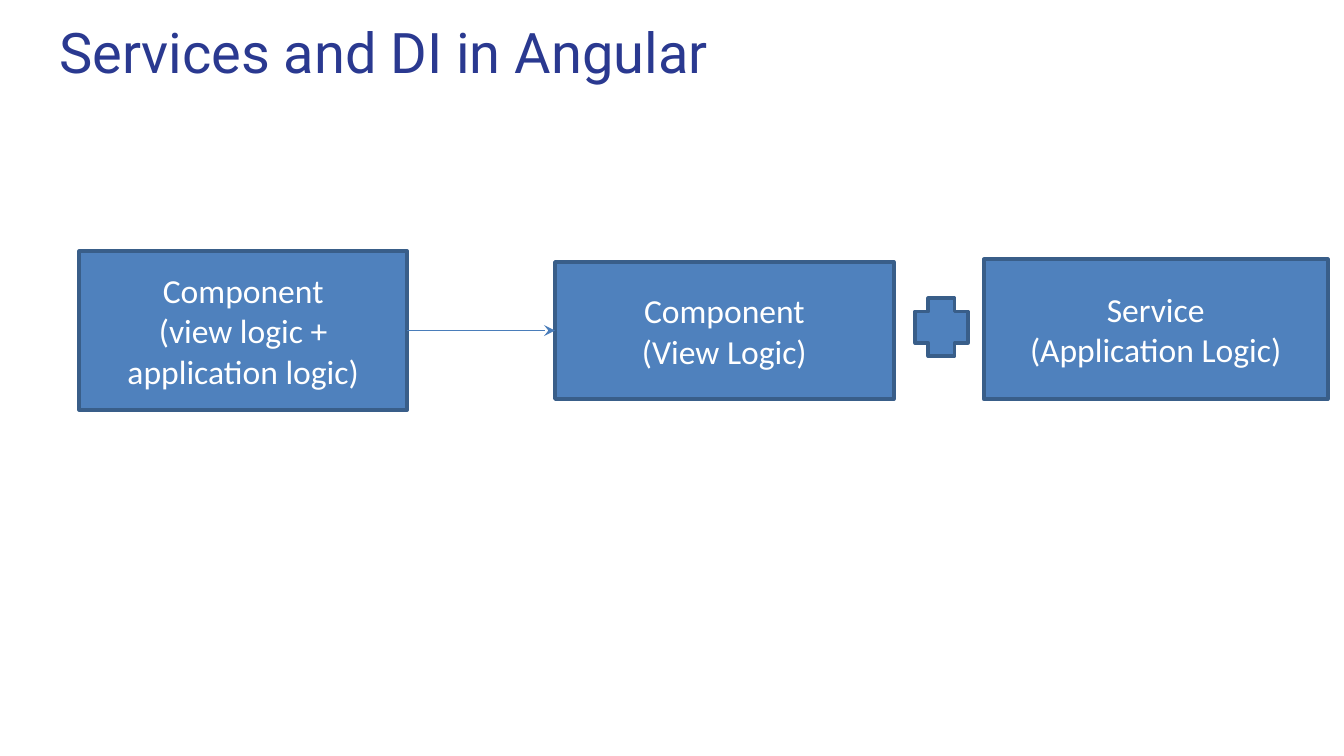
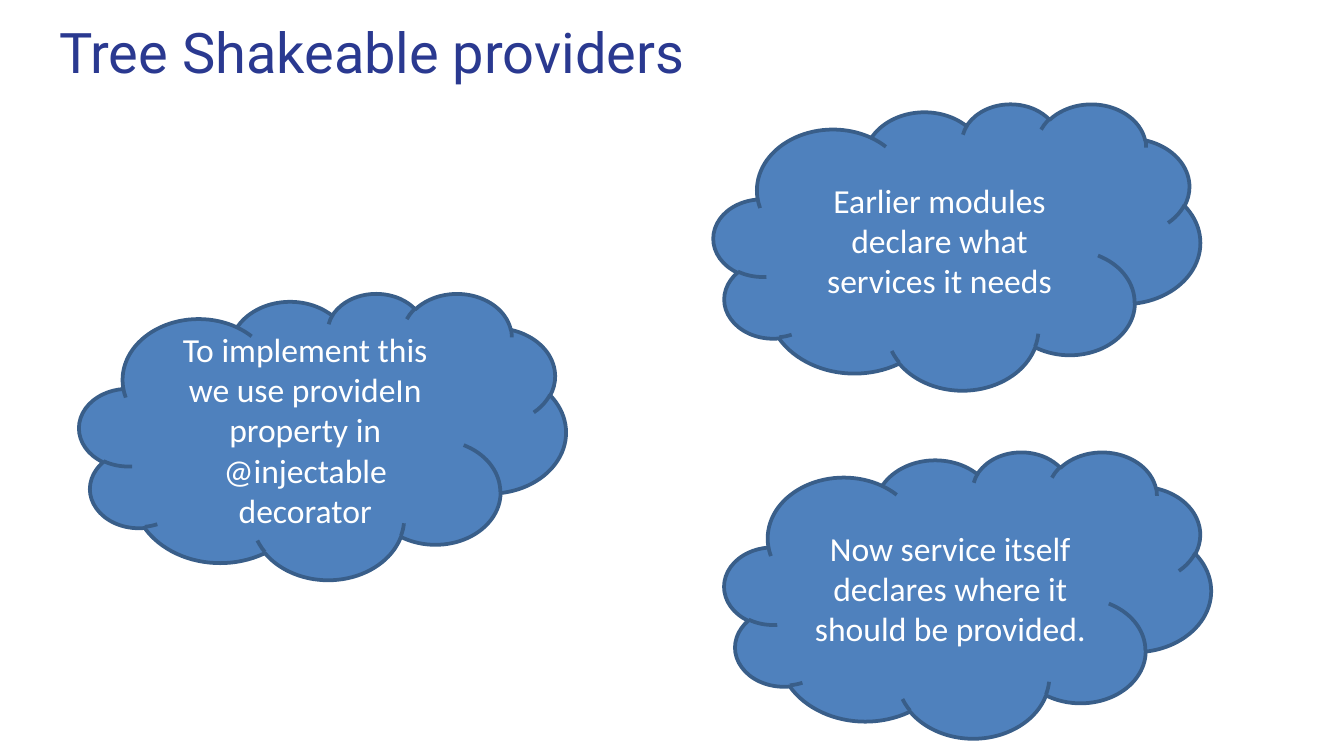
from dataclasses import dataclass

from lxml.etree import SubElement
from pptx import Presentation
from pptx.dml.color import RGBColor
from pptx.enum.shapes import MSO_CONNECTOR, MSO_SHAPE
from pptx.enum.text import MSO_ANCHOR, PP_ALIGN
from pptx.oxml.ns import qn
from pptx.shapes.autoshape import Shape
from pptx.slide import Slide
from pptx.util import Inches, Pt

SLIDE_WIDTH, SLIDE_HEIGHT = Inches(10), Inches(5.625)
TITLE_ONLY = 5
RIGHT_SIDE, LEFT_SIDE = 3, 1


def colour(value: str) -> RGBColor:
    return RGBColor.from_string(value)


FILL, OUTLINE, ARROW = colour("4F81BD"), colour("395E89"), colour("4A7DBA")
TITLE_FONT = {"name": "Roboto", "size": Pt(30), "bold": False}
LABEL_FONT = {"name": "Calibri", "size": Pt(18)}
TITLE_COLOUR, LABEL_COLOUR = colour("2A3990"), colour("FFFFFF")
TITLE_FRAME = {
    "margin_left": Inches(0.1), "margin_right": Inches(0.1),
    "margin_top": Inches(0.1), "margin_bottom": Inches(0.1),
    "vertical_anchor": MSO_ANCHOR.TOP, "word_wrap": True,
}
LABEL_FRAME = TITLE_FRAME | {
    "margin_top": Inches(0.05), "margin_bottom": Inches(0.05),
    "vertical_anchor": MSO_ANCHOR.MIDDLE,
}


@dataclass(frozen=True)
class Area:
    """Left edge, vertical middle, width and height in percent of the slide."""
    left: float
    middle: float
    width: float
    height: float

    def place(self) -> dict[str, int]:
        return {
            "left": round(SLIDE_WIDTH * self.left / 100),
            "top": round(SLIDE_HEIGHT * (self.middle - self.height / 2) / 100),
            "width": round(SLIDE_WIDTH * self.width / 100),
            "height": round(SLIDE_HEIGHT * self.height / 100),
        }


@dataclass(frozen=True)
class Block:
    kind: MSO_SHAPE
    area: Area
    lines: tuple[str, ...] = ()


def cloud(left: float, middle: float, text: str) -> Block:
    return Block(MSO_SHAPE.CLOUD, Area(left, middle, 36.2, 37.87), (text,))


TITLE_AREA = Area(3.4, 6.4, 93.2, 11.73)
AXIS = 43.73
MIXED = Block(MSO_SHAPE.RECTANGLE, Area(5.9, AXIS, 24.4, 20.98),
              ("Component", "(view logic + application logic)"))
VIEW = Block(MSO_SHAPE.RECTANGLE, Area(41.3, AXIS, 25.2, 18.13),
             ("Component", "(View Logic)"))
SERVICE = Block(MSO_SHAPE.RECTANGLE, Area(73.2, 43.56, 25.6, 18.49),
                ("Service", "(Application Logic)"))
PLUS = Block(MSO_SHAPE.CROSS, Area(68.1, 43.29, 3.9, 7.64))
CLOUDS = (
    cloud(5.9, 57.69, "To implement this we use provideIn property in @injectable decorator"),
    cloud(53.1, 32.62, "Earlier modules declare what services it needs"),
    cloud(53.9, 78.66, "Now service itself declares where it should be provided."),
)


def apply(target: object, values: dict[str, object]) -> None:
    for name, value in values.items():
        setattr(target, name, value)


def add_page(deck: Presentation, heading: str) -> Slide:
    page = deck.slides.add_slide(deck.slide_layouts[TITLE_ONLY])
    title = page.shapes.title
    apply(title, TITLE_AREA.place())
    apply(title.text_frame, TITLE_FRAME)
    para = title.text_frame.paragraphs[0]
    para.alignment = PP_ALIGN.LEFT
    span = para.add_run()
    span.text = heading
    apply(span.font, TITLE_FONT)
    span.font.color.rgb = TITLE_COLOUR
    return page


def add_block(page: Slide, block: Block) -> Shape:
    box = page.shapes.add_shape(block.kind, **block.area.place())
    box.shadow.inherit = False
    box.fill.solid()
    box.fill.fore_color.rgb = FILL
    box.line.color.rgb = OUTLINE
    box.line.width = Pt(2)
    frame = box.text_frame
    apply(frame, LABEL_FRAME)
    for index, line in enumerate(block.lines):
        para = frame.add_paragraph() if index else frame.paragraphs[0]
        para.alignment = PP_ALIGN.CENTER
        span = para.add_run()
        span.text = line
        apply(span.font, LABEL_FONT)
        span.font.color.rgb = LABEL_COLOUR
    return box


def add_arrow(page: Slide, start: Shape, end: Shape) -> None:
    arrow = page.shapes.add_connector(MSO_CONNECTOR.STRAIGHT, 0, 0, 0, 0)
    arrow.begin_connect(start, RIGHT_SIDE)
    arrow.end_connect(end, LEFT_SIDE)
    arrow.line.color.rgb = ARROW
    arrow.line.width = Pt(0.75)
    properties = arrow.element.spPr
    SubElement(properties.find(qn("a:ln")), qn("a:tailEnd"), type="stealth")
    SubElement(properties, qn("a:effectLst"))


def main() -> None:
    deck = Presentation()
    deck.slide_width, deck.slide_height = SLIDE_WIDTH, SLIDE_HEIGHT

    services = add_page(deck, "Services and DI in Angular")
    mixed, view, *_ = [add_block(services, block) for block in (MIXED, VIEW, SERVICE, PLUS)]
    add_arrow(services, mixed, view)

    providers = add_page(deck, "Tree Shakeable providers")
    for block in CLOUDS:
        add_block(providers, block)

    deck.save("out.pptx")


if __name__ == "__main__":
    main()
